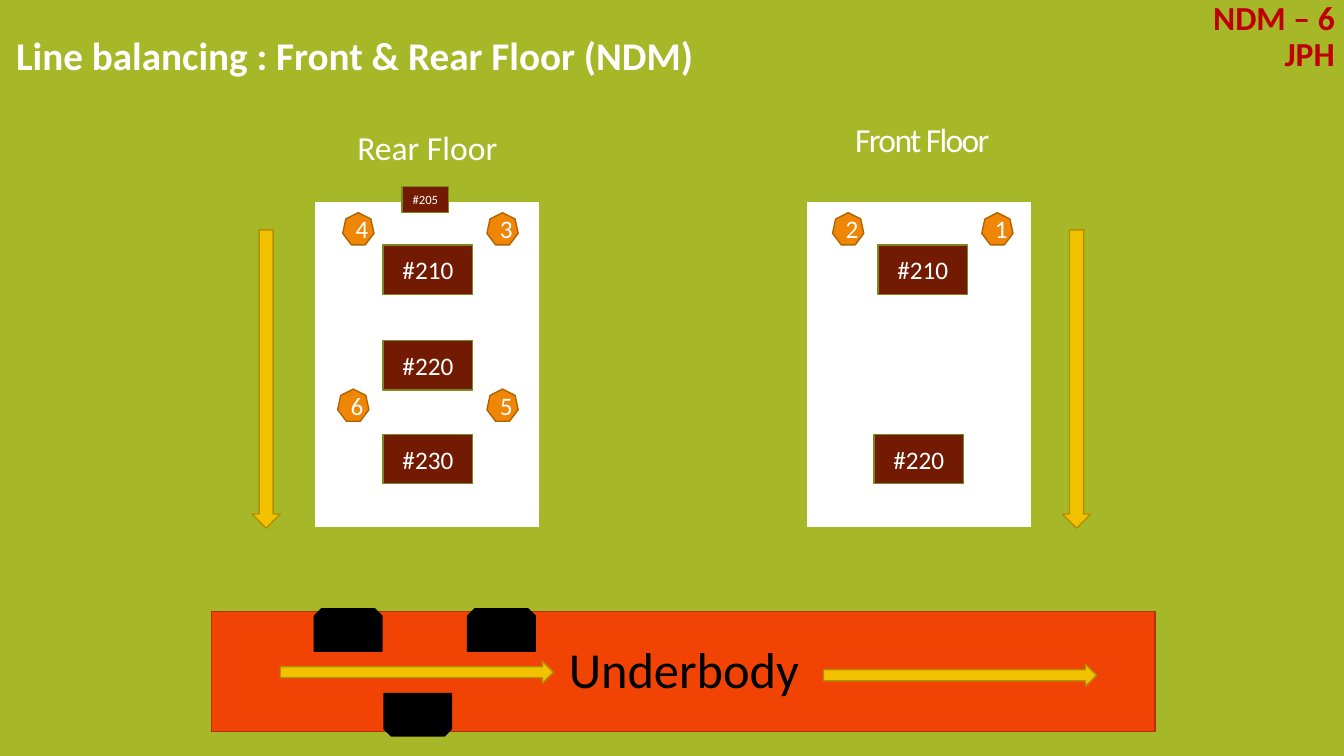
from dataclasses import dataclass

import pptx
import pptx.dml.color
import pptx.enum.shapes
import pptx.enum.text
import pptx.util

Pt = pptx.util.Pt
Shape = pptx.enum.shapes.MSO_SHAPE
Anchor = pptx.enum.text.MSO_ANCHOR
Align = pptx.enum.text.PP_ALIGN

COLOURS = {
    "green": "A6B727", "white": "FFFFFF", "black": "000000", "crimson": "C00000",
    "brown": "721B02", "olive": "7B871D", "orange": "EF8606", "rust": "B16304",
    "red": "F04304", "brick": "B23203", "yellow": "F2C100", "ochre": "B38F00",
}


@dataclass(frozen=True)
class Style:
    preset: Shape
    width: float
    height: float
    fill: str
    line: str
    size: float = 18


@dataclass(frozen=True)
class Item:
    style: Style
    left: float
    top: float
    text: str = ""
    rotation: float = 0


@dataclass(frozen=True)
class Label:
    text: str
    left: float
    top: float
    width: float
    height: float


FLOOR = Style(Shape.RECTANGLE, 161.3, 233.3, "white", "green")
STATION = Style(Shape.RECTANGLE, 64.1, 35.3, "brown", "olive")
SMALL_STATION = Style(Shape.RECTANGLE, 33.1, 18.7, "brown", "olive", 9)
OPERATOR = Style(Shape.HEPTAGON, 22.3, 23, "orange", "rust")
UNDERBODY = Style(Shape.RECTANGLE, 673.9, 85.7, "red", "brick")
DOWN_FLOW = Style(Shape.DOWN_ARROW, 20.2, 213.1, "yellow", "ochre")
RIGHT_FLOW = Style(Shape.RIGHT_ARROW, 195.1, 15.8, "yellow", "ochre")
FIXTURE = Style(Shape.SNIP_2_SAME_RECTANGLE, 48.2, 30.2, "black", "black")

REAR_STATION_LEFT = 273.6
STATION_TOPS = {"#210": 175, "#220": 243.4, "#230": 310.3}
OPERATOR_TOP, LOWER_OPERATOR_TOP = 151.9, 277.9

ITEMS = [
    *(Item(FLOOR, left, 144) for left in (224.6, 576)),
    Item(STATION, 627.1, STATION_TOPS["#210"], "#210"),
    Item(STATION, 624.2, STATION_TOPS["#230"], "#220"),
    *(Item(STATION, REAR_STATION_LEFT, top, name) for name, top in STATION_TOPS.items()),
    Item(SMALL_STATION, 287.3, 133.2, "#205"),
    Item(OPERATOR, 701.3, OPERATOR_TOP, "1"),
    Item(OPERATOR, 594.7, OPERATOR_TOP, "2"),
    Item(OPERATOR, 347.8, OPERATOR_TOP, "3"),
    Item(OPERATOR, 244.8, OPERATOR_TOP, "4"),
    Item(OPERATOR, 347.8, LOWER_OPERATOR_TOP, "5"),
    Item(OPERATOR, 241.2, LOWER_OPERATOR_TOP, "6"),
    Item(UNDERBODY, 151.2, 437),
    *(Item(DOWN_FLOW, left, 164.2) for left in (758.9, 180)),
    *(Item(FIXTURE, left, 434.9) for left in (224.6, 334.1)),
    Item(FIXTURE, 274.3, 495.4, rotation=180),
    Item(RIGHT_FLOW, 200.2, 472.3),
    Item(RIGHT_FLOW, 588.2, 474.5),
]

HEADING = Label("Line balancing : Front & Rear Floor (NDM)", 4.3, 18, 511.2, 41.8)
FRONT = Label("Front Floor", 568.8, 81.4, 180, 41.8)
REAR = Label("Rear Floor", 215.3, 81.4, 180, 41.8)
RATE = Label("NDM – 6 JPH", 825.1, 14.4, 135.4, 41.8)
BODY = Label("Underbody", 382.3, 474.5, 212.4, 28.8)


def colour(name: str) -> pptx.dml.color.RGBColor:
    return pptx.dml.color.RGBColor.from_string(COLOURS[name])


def write(box, text: str, *, size: float, ink: str = "white", bold: bool = False,
          align: Align = Align.CENTER, anchor: Anchor = Anchor.MIDDLE,
          line_spacing: float = 1.0, tracking: float = 0) -> None:
    frame = box.text_frame
    frame.word_wrap = True
    frame.auto_size = pptx.enum.text.MSO_AUTO_SIZE.NONE
    frame.vertical_anchor = anchor
    para = frame.paragraphs[0]
    para.alignment = align
    para.line_spacing = line_spacing
    para.space_before = Pt(0)
    span = para.add_run()
    span.text = text
    span.font.name = "Calibri"
    span.font.size = Pt(size)
    span.font.bold = bold
    span.font.color.rgb = colour(ink)
    if tracking:
        span.font._element.set("spc", str(round(tracking * 100)))


def draw_item(page: pptx.slide.Slide, item: Item) -> None:
    style = item.style
    box = page.shapes.add_shape(style.preset, Pt(item.left), Pt(item.top),
                                Pt(style.width), Pt(style.height))
    box.shadow.inherit = False
    box.rotation = item.rotation
    box.fill.solid()
    box.fill.fore_color.rgb = colour(style.fill)
    box.line.color.rgb = colour(style.line)
    box.line.width = Pt(1)
    if item.text:
        write(box, item.text, size=style.size)


def draw_label(page: pptx.slide.Slide, label: Label, **text_format) -> None:
    box = page.shapes.add_textbox(Pt(label.left), Pt(label.top),
                                  Pt(label.width), Pt(label.height))
    write(box, label.text, **text_format)


def draw_heading(page: pptx.slide.Slide, label: Label) -> None:
    box = page.shapes.title
    box.left, box.top = Pt(label.left), Pt(label.top)
    box.width, box.height = Pt(label.width), Pt(label.height)
    write(box, label.text, size=28, bold=True, align=Align.LEFT,
          anchor=Anchor.BOTTOM, line_spacing=0.9)


def main() -> None:
    deck = pptx.Presentation()
    deck.slide_width, deck.slide_height = Pt(960), Pt(540)
    page = deck.slides.add_slide(deck.slide_layouts.get_by_name("Title Only"))
    page.background.fill.solid()
    page.background.fill.fore_color.rgb = colour("green")
    draw_heading(page, HEADING)
    for item in ITEMS:
        draw_item(page, item)
    low = {"anchor": Anchor.BOTTOM, "line_spacing": 0.9}
    draw_label(page, FRONT, size=24, line_spacing=0.8, tracking=-1.2)
    draw_label(page, REAR, size=24, **low)
    draw_label(page, RATE, size=24, ink="crimson", bold=True, align=Align.RIGHT, **low)
    draw_label(page, BODY, size=36, ink="black", **low)
    deck.save("out.pptx")


if __name__ == "__main__":
    main()
